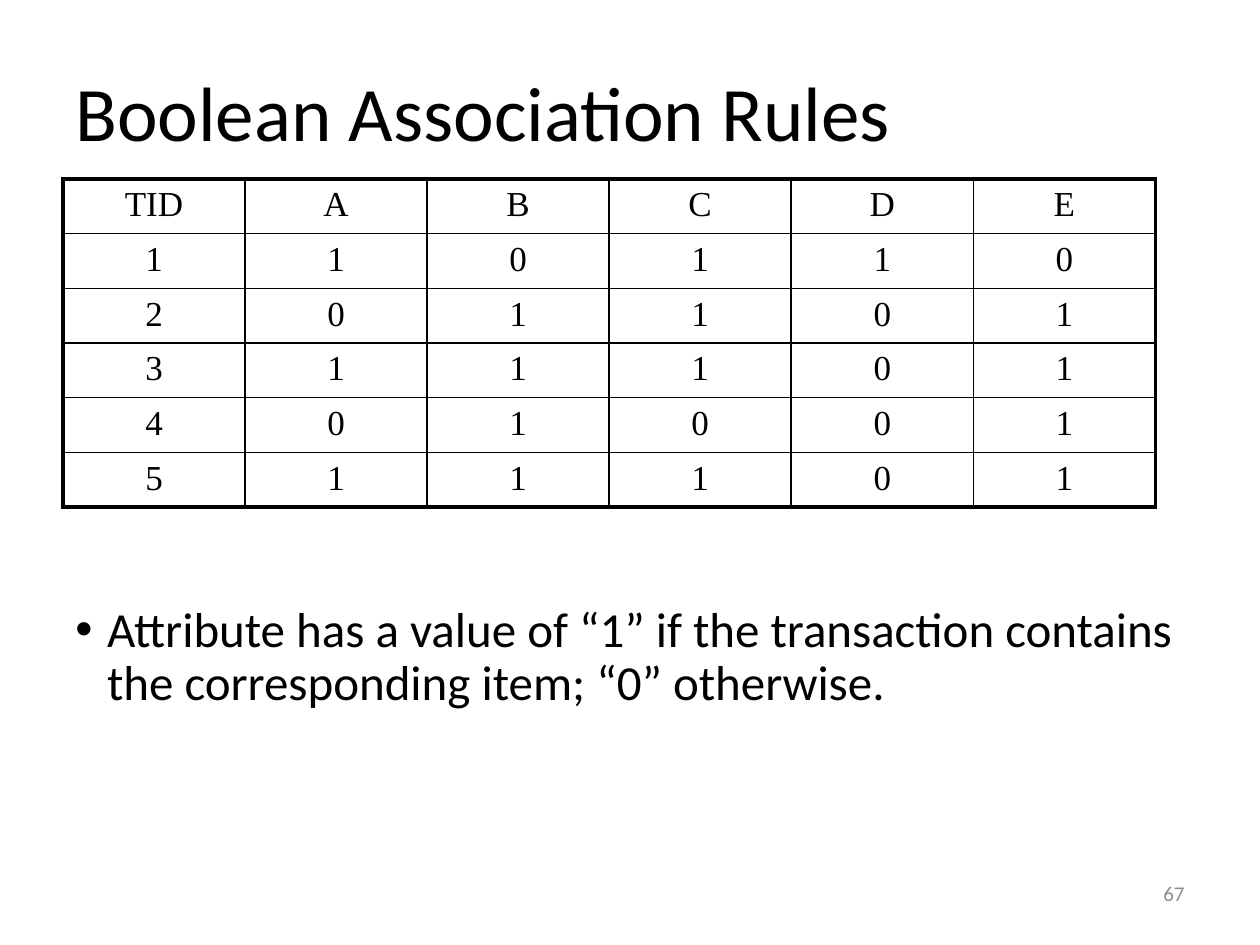
from lxml.etree import SubElement as Sub
from pptx import Presentation
from pptx.dml.color import RGBColor as RGB
from pptx.enum.text import MSO_ANCHOR as Anchor, PP_ALIGN as Align
from pptx.oxml.ns import qn
from pptx.util import Cm, Pt

COLORS = {"ink": "000000", "muted": "8C8C8C"}
THICK, THIN = 2.25, 1
ROWS = [
    "TID A B C D E".split(),
    "1 1 0 1 1 0".split(),
    "2 0 1 1 0 1".split(),
    "3 1 1 1 0 1".split(),
    "4 0 1 0 0 1".split(),
    "5 1 1 1 0 1".split(),
]


def put_text(frame, text, size, font="Calibri", color="ink",
             align=Align.LEFT, space=None, before=None):
    """Write one formatted paragraph into a frame and return it."""
    par = frame.paragraphs[0]
    par.alignment = align
    if space is not None:
        par.line_spacing = space
    if before is not None:
        par.space_before = Pt(before)
    run = par.add_run()
    run.text = text
    run.font.size = Pt(size)
    run.font.name = font
    run.font.color.rgb = RGB.from_string(COLORS[color])
    return par


def add_box(slide, left, top, width, height, anchor=Anchor.TOP):
    box = slide.shapes.add_textbox(Cm(left), Cm(top), Cm(width), Cm(height))
    frame = box.text_frame
    frame.word_wrap = True
    frame.vertical_anchor = anchor
    return frame


def add_bullet(par, indent):
    props = par._p.get_or_add_pPr()
    props.set("marL", str(Cm(indent)))
    props.set("indent", str(-Cm(indent)))
    Sub(props, qn("a:buFont"), typeface="Arial")
    Sub(props, qn("a:buChar"), char="•")


def set_border(cell, widths):
    """Draw the cell edges; widths are in points, keyed L, R, T, B."""
    props = cell._tc.get_or_add_tcPr()
    for side, width in widths.items():
        line = Sub(props, qn(f"a:ln{side}"), w=str(Pt(width)))
        fill = Sub(line, qn("a:solidFill"))
        Sub(fill, qn("a:srgbClr"), val=COLORS["ink"])


def add_grid(slide, rows, left, top, col_w, row_h):
    n_rows, n_cols = len(rows), len(rows[0])
    table = slide.shapes.add_table(
        n_rows, n_cols, Cm(left), Cm(top),
        Cm(col_w * n_cols), Cm(row_h * n_rows)).table
    table.first_row = table.horz_banding = False
    for col in table.columns:
        col.width = Cm(col_w)
    for r, row in enumerate(rows):
        table.rows[r].height = Cm(row_h)
        for c, text in enumerate(row):
            cell = table.cell(r, c)
            put_text(cell.text_frame, text, 20, font="Times New Roman",
                     align=Align.CENTER)
            # The outer frame is thicker than the inner lines
            outer = {"L": c == 0, "R": c == n_cols - 1,
                     "T": r == 0, "B": r == n_rows - 1}
            set_border(cell, {side: THICK if edge else THIN
                              for side, edge in outer.items()})
            cell.fill.background()


def main():
    prs = Presentation()
    prs.slide_width, prs.slide_height = Cm(25.4), Cm(19.05)
    slide = prs.slides.add_slide(prs.slide_layouts[6])

    # Title
    title = add_box(slide, 1.27, 0.76, 22.86, 3.18, Anchor.MIDDLE)
    put_text(title, "Boolean Association Rules", 44, space=0.9)

    # Transaction table
    add_grid(slide, ROWS, left=1.27, top=3.61, col_w=3.67, row_h=1.04)

    # Explanation
    body = add_box(slide, 1.27, 12.07, 22.86, 4.72)
    note = put_text(body, "Attribute has a value of “1” if the transaction "
                    "contains the corresponding item; “0” otherwise.",
                    28, space=0.9, before=10)
    add_bullet(note, 0.64)

    # Slide number
    number = add_box(slide, 18.21, 17.35, 5.92, 1.32, Anchor.MIDDLE)
    put_text(number, "67", 12, color="muted", align=Align.RIGHT)

    prs.save("out.pptx")


if __name__ == "__main__":
    main()
